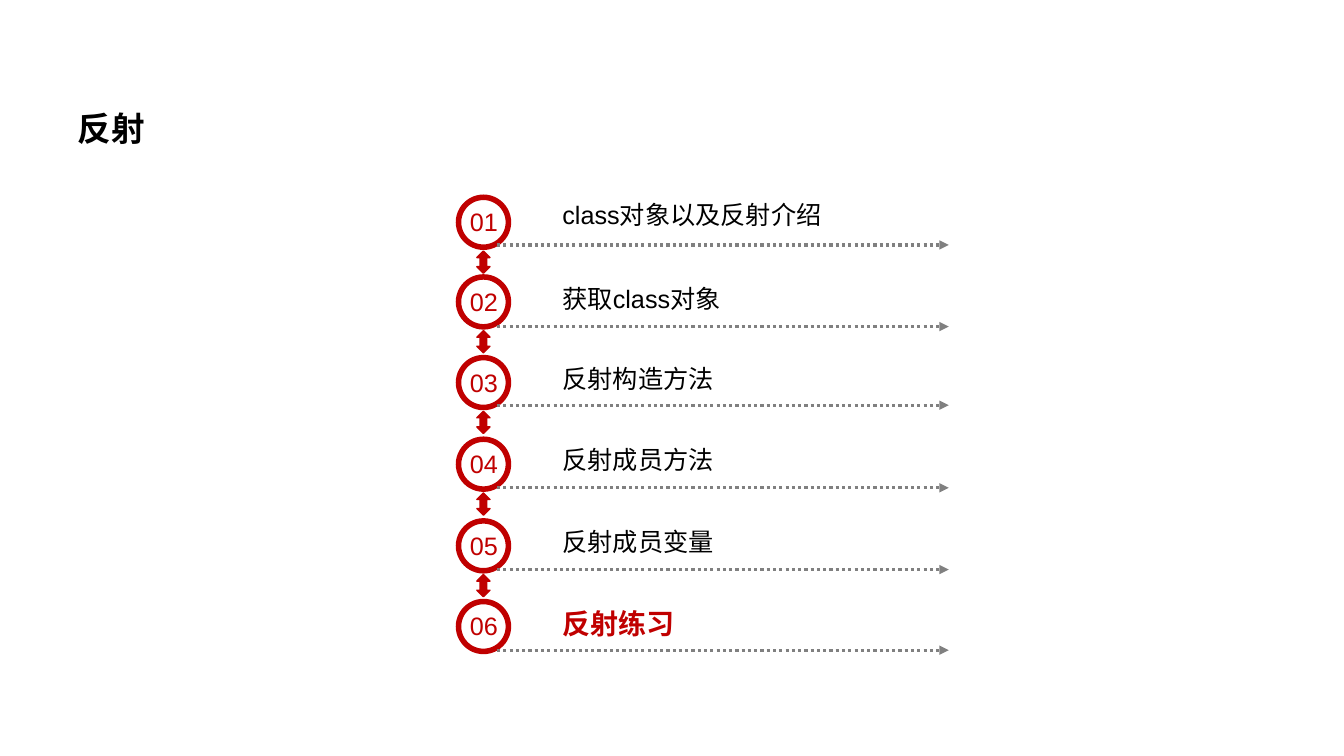
from pptx import Presentation
from pptx.dml.color import RGBColor
from pptx.enum.dml import MSO_LINE_DASH_STYLE as Dash
from pptx.enum.lang import MSO_LANGUAGE_ID as Language
from pptx.enum.shapes import MSO_CONNECTOR as Connector, MSO_SHAPE as Shape
from pptx.enum.text import MSO_AUTO_SIZE as AutoSize, PP_ALIGN as Align
from pptx.oxml.ns import qn
from pptx.util import Inches, Pt
from lxml.etree import SubElement

RED, GRAY, BLACK = "C00000", "808080", "000000"
RING_SIZE = 0.55

TOPICS = [
    ("class对象以及反射介绍", 1.93, 1.93, 2.43),
    ("获取class对象", 2.72, 2.76, 3.24),
    ("反射构造方法", 3.52, 3.56, 4.02),
    ("反射成员方法", 4.33, 4.36, 4.84),
    ("反射成员变量", 5.14, 5.17, 5.65),
    ("反射练习", 5.94, 5.97, 6.45),
]


def color(value):
    return RGBColor.from_string(value)


class AgendaSlide:
    font_name = "Arial"

    def __init__(self, presentation):
        self.slide = presentation.slides.add_slide(presentation.slide_layouts[6])

    def text(self, content, left, top, width, height, size=18, ink=BLACK,
             bold=False, align=Align.LEFT, wrap=True, spacing=1.0):
        shape = self.slide.shapes.add_textbox(
            Inches(left), Inches(top), Inches(width), Inches(height))
        frame = shape.text_frame
        frame.word_wrap = wrap
        frame.auto_size = AutoSize.NONE
        paragraph = frame.paragraphs[0]
        paragraph.alignment = align
        paragraph.line_spacing = spacing
        run = paragraph.add_run()
        run.text = content
        run.font.name = self.font_name
        run.font.size = Pt(size)
        run.font.bold = bold
        run.font.color.rgb = color(ink)
        run.font.language_id = Language.SIMPLIFIED_CHINESE
        east_asian = SubElement(run._r.get_or_add_rPr(), qn("a:ea"))
        east_asian.set("typeface", self.font_name)

    def preset(self, kind, left, top, width, height, outlined=False):
        shape = self.slide.shapes.add_shape(
            kind, Inches(left), Inches(top), Inches(width), Inches(height))
        shape.shadow.inherit = False
        shape.fill.solid()
        shape.fill.fore_color.rgb = color(RED)
        if outlined:
            shape.line.color.rgb = color(RED)
            shape.line.width = Pt(1)
        else:
            shape.line.fill.background()
        return shape

    def ring(self, top):
        shape = self.preset(Shape.DONUT, 4.52, top, RING_SIZE, RING_SIZE)
        shape.adjustments[0] = 0.1

    def link(self, top):
        self.preset(Shape.UP_DOWN_ARROW, 4.73, top, 0.13, 0.22, outlined=True)

    def dotted_arrow(self, y):
        connector = self.slide.shapes.add_connector(
            Connector.STRAIGHT, Inches(4.93), Inches(y), Inches(9.41), Inches(y))
        connector.line.color.rgb = color(GRAY)
        connector.line.width = Pt(2.25)
        connector.line.dash_style = Dash.ROUND_DOT
        SubElement(connector.line._get_or_add_ln(), qn("a:tailEnd"), type="triangle")
        SubElement(connector._element.spPr, qn("a:effectLst"))


def main():
    presentation = Presentation()
    presentation.slide_width = Inches(13.33)
    presentation.slide_height = Inches(7.5)
    agenda = AgendaSlide(presentation)
    agenda.text("反射", 0.67, 0.82, 11.74, 1.11, size=24, bold=True, spacing=1.5)

    for number, (topic, ring_top, label_top, line_y) in enumerate(TOPICS, 1):
        is_last = number == len(TOPICS)
        agenda.ring(ring_top)
        agenda.text(f"{number:02}", 4.56, ring_top + 0.07, 0.48, 0.4,
                    ink=RED, align=Align.CENTER, wrap=False)
        agenda.dotted_arrow(line_y)
        if is_last:
            agenda.text(topic, 5.48, label_top, 3.96, 0.44, size=20, ink=RED, bold=True)
        else:
            agenda.text(topic, 5.48, label_top, 3.96, 0.4)
            agenda.link(ring_top + 0.56)

    presentation.save("out.pptx")


if __name__ == "__main__":
    main()
